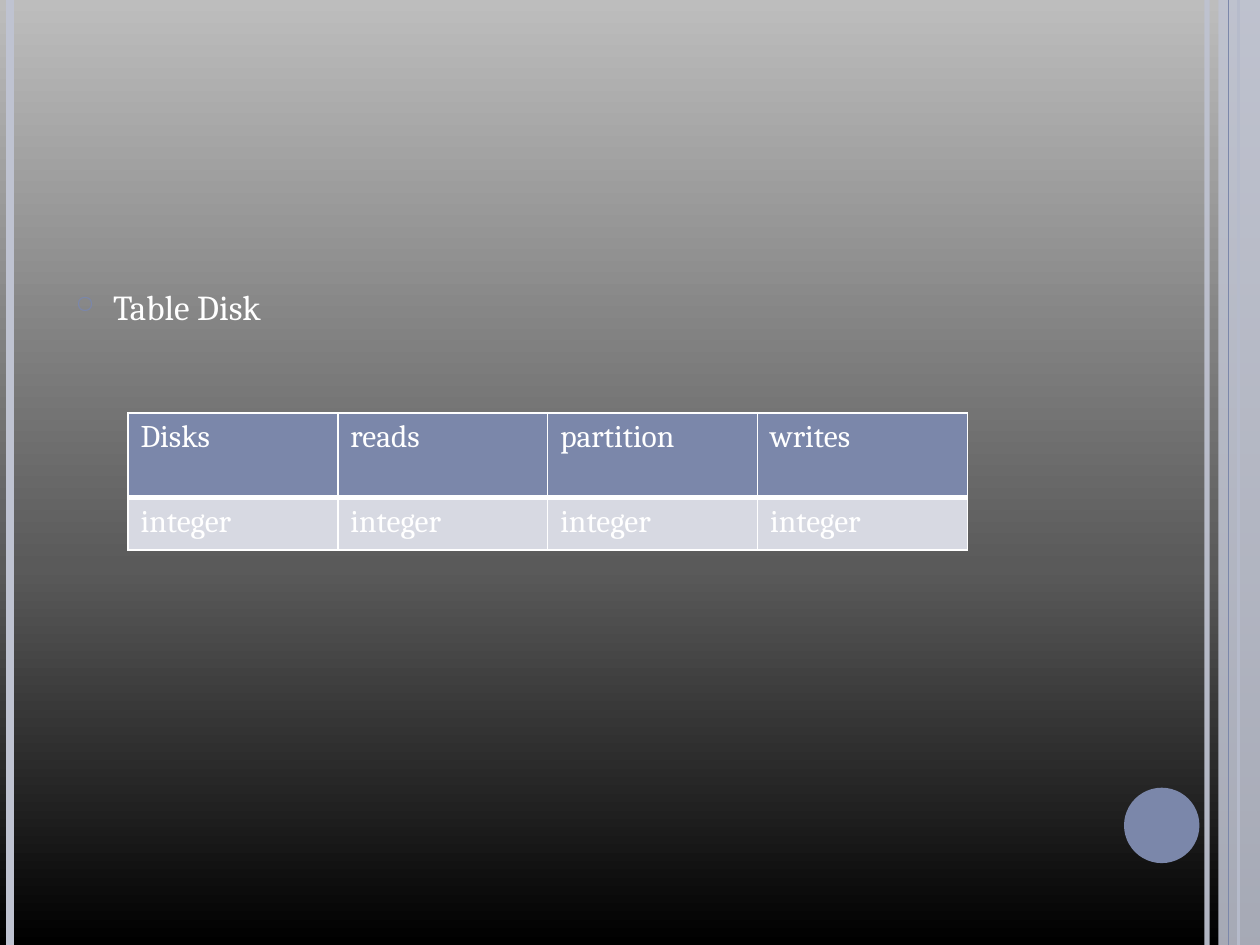
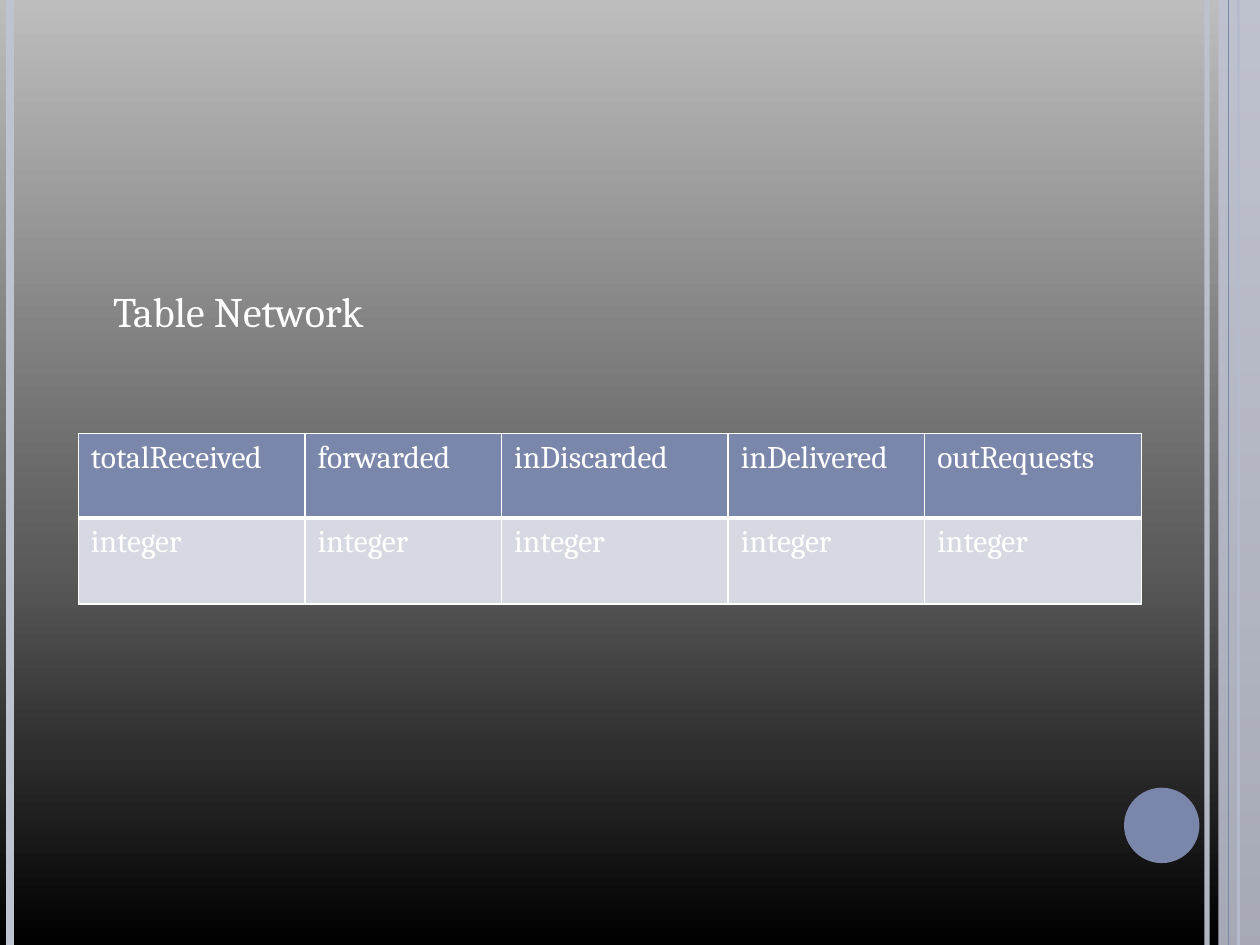
import pptx
import pptx.util
import pptx.dml.color
import pptx.enum.shapes
import pptx.oxml
import pptx.oxml.ns
import lxml.etree

Cm, Pt = pptx.util.Cm, pptx.util.Pt
RGB = pptx.dml.color.RGBColor.from_string
qn = pptx.oxml.ns.qn
NS = pptx.oxml.ns.nsdecls("a")

HUE = {"pale": "BFC3D1", "blue": "7B87AA", "cell": "D7D9E2", "white": "FFFFFF",
       "low": "000000", "mid": "5A5A5A", "high": "BDBDBD"}
HIGH = 19.05


def fade(fill, share):
    """Give a solid fill element an opacity in percent."""
    tone = fill.find(".//" + qn("a:srgbClr"))
    lxml.etree.SubElement(tone, qn("a:alpha"), val=str(share * 1000))


def write(frame, text, size, form):
    """Put one white line of text in a frame, with the frame format given."""
    for name, value in form.items():
        setattr(frame, name, value)
    run = frame.paragraphs[0].add_run()
    run.text = text
    for name, value in {"name": "Cambria", "size": Pt(size)}.items():
        setattr(run.font, name, value)
    run.font.color.rgb = RGB(HUE["white"])


deck = pptx.Presentation()
deck.slide_width, deck.slide_height = Cm(25.4), Cm(HIGH)

# Shared background: dark at the foot, light at the top
back = deck.slide_master.background.fill
back.gradient()
back.gradient_angle = 90
stops = deck.slide_master.element.find(".//" + qn("a:gsLst"))
for stop in list(stops):
    stops.remove(stop)
for place, hue in ((0, "low"), (40, "mid"), (100, "high")):
    stops.append(pptx.oxml.parse_xml(
        f'<a:gs {NS} pos="{place * 1000}"><a:srgbClr val="{HUE[hue]}"/></a:gs>'))

# Shared trim, back to front: x, colour, line width in points, opacity
RULES = [(24.33, "pale", 3, 93), (0.2, "pale", 4.5, 100),
         (24.97, "blue", 1.5, 100), "band", (24.77, "blue", 0.75, 100)]
BAND = (24.56, 0, 0.84, HIGH)
DISC = (22.66, 15.88, 1.52, 1.52)
KIND = pptx.enum.shapes.MSO_SHAPE

BODY = (1.27, 4.45, 20.75, 13.54)
FORM = {"word_wrap": True, "margin_top": Cm(1.3)}
CELL = {"word_wrap": True}

PAGES = [
    {"head": "Table Disk", "size": 20, "dot": True, "at": (2.58, 8.33),
     "names": ["Disks", "reads", "partition", "writes"],
     "wide": [4.23] * 4, "tall": [1.7, 1.06]},
    {"head": "Table Network", "size": 24, "dot": False, "at": (1.58, 8.74),
     "names": ["totalReceived", "forwarded", "inDiscarded", "inDelivered",
               "outRequests"],
     "wide": [4.57, 3.96, 4.57, 3.96, 4.37], "tall": [1.7, 1.74]},
]

for page in PAGES:
    slide = deck.slides.add_slide(deck.slide_layouts[6])
    shapes = slide.shapes

    # Side rules, band and disc
    for rule in RULES:
        if rule == "band":
            band = shapes.add_shape(KIND.RECTANGLE, *map(Cm, BAND))
            band.shadow.inherit = False
            band.fill.solid()
            band.fill.fore_color.rgb = RGB(HUE["pale"])
            band.line.fill.background()
            fade(band.element.spPr, 87)
            continue
        x, hue, width, share = rule
        line = shapes.add_connector(pptx.enum.shapes.MSO_CONNECTOR.STRAIGHT,
                                    Cm(x), 0, Cm(x), Cm(HIGH))
        line.line.color.rgb = RGB(HUE[hue])
        line.line.width = Pt(width)
        if share < 100:
            fade(line.element.spPr, share)
        lxml.etree.SubElement(line.element.spPr, qn("a:effectLst"))
    disc = shapes.add_shape(KIND.OVAL, *map(Cm, DISC))
    disc.shadow.inherit = False
    disc.fill.solid()
    disc.fill.fore_color.rgb = RGB(HUE["blue"])
    disc.line.fill.background()

    # Heading, hung on a bullet or plainly indented
    body = shapes.add_textbox(*map(Cm, BODY)).text_frame
    write(body, page["head"], page["size"], FORM)
    para = body.paragraphs[0]._p.get_or_add_pPr()
    para.set("marL", str(Cm(0.76)))
    if page["dot"]:
        para.set("indent", str(Cm(-0.76)))
        for part in (f'<a:buClr {NS}><a:srgbClr val="{HUE["blue"]}"/></a:buClr>',
                     f'<a:buSzPct {NS} val="70000"/>',
                     f'<a:buChar {NS} char="○"/>'):
            para.append(pptx.oxml.parse_xml(part))

    # Table of column names over their types
    names, wide, tall = page["names"], page["wide"], page["tall"]
    left, top = page["at"]
    grid = shapes.add_table(2, len(names), Cm(left), Cm(top),
                            Cm(sum(wide)), Cm(sum(tall))).table
    for col, width in zip(grid.columns, wide):
        col.width = Cm(width)
    rows = [(names, "blue", {"L": 1, "R": 1, "T": 1, "B": 3}),
            (["integer"] * len(names), "cell", {"L": 1, "R": 1, "T": 3, "B": 1})]
    for r, (words, hue, edges) in enumerate(rows):
        grid.rows[r].height = Cm(tall[r])
        for c, word in enumerate(words):
            cell = grid.cell(r, c)
            write(cell.text_frame, word, 18, CELL)
            props = cell._tc.get_or_add_tcPr()
            for side, width in edges.items():
                props.append(pptx.oxml.parse_xml(
                    f'<a:ln{side} {NS} w="{Pt(width)}"><a:solidFill>'
                    f'<a:srgbClr val="{HUE["white"]}"/></a:solidFill></a:ln{side}>'))
            cell.fill.solid()
            cell.fill.fore_color.rgb = RGB(HUE[hue])

deck.save("out.pptx")
